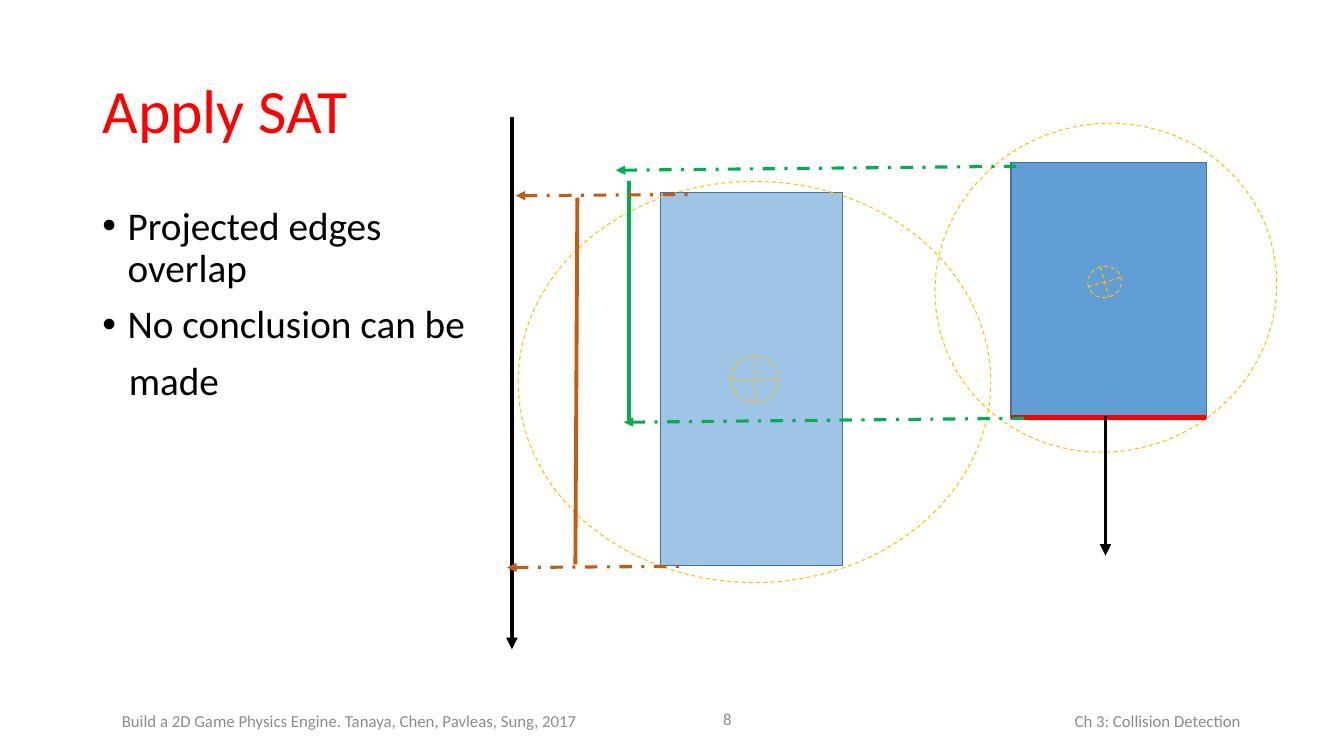
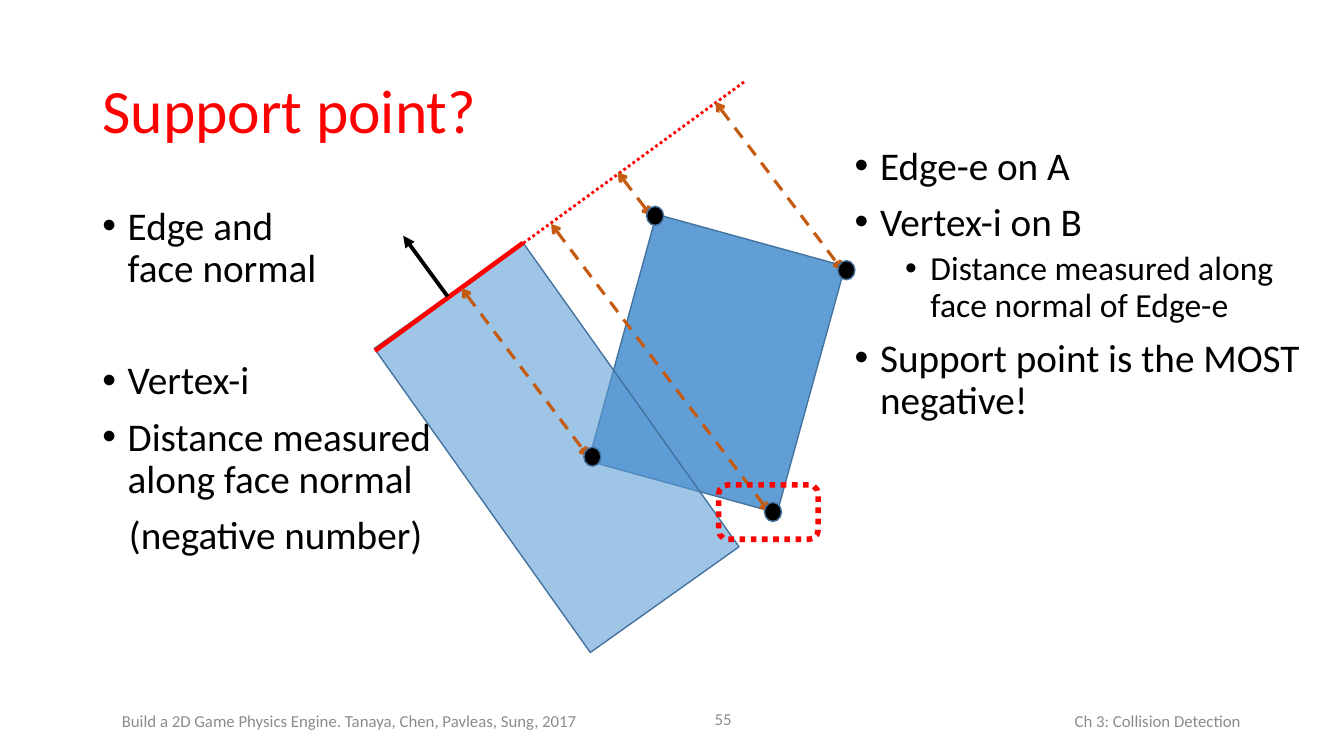
from lxml import etree
from pptx import Presentation
from pptx.dml.color import RGBColor
from pptx.enum.dml import MSO_LINE
from pptx.enum.shapes import MSO_CONNECTOR, MSO_SHAPE
from pptx.enum.text import MSO_ANCHOR, MSO_AUTO_SIZE, PP_ALIGN
from pptx.oxml.ns import qn
from pptx.util import Cm, Pt

RECT, ROUNDED = MSO_SHAPE.RECTANGLE, MSO_SHAPE.ROUNDED_RECTANGLE
OVAL, CROSSHAIR = MSO_SHAPE.OVAL, MSO_SHAPE.FLOWCHART_OR
STRAIGHT = MSO_CONNECTOR.STRAIGHT
DASH, DASH_DOT, DOTS = MSO_LINE.DASH, MSO_LINE.DASH_DOT, MSO_LINE.ROUND_DOT
LEFT, RIGHT = PP_ALIGN.LEFT, PP_ALIGN.RIGHT
MIDDLE = MSO_ANCHOR.MIDDLE
NO_FIT = MSO_AUTO_SIZE.NONE

RED = RGBColor(0xFF, 0x00, 0x00)
BLACK = RGBColor(0x00, 0x00, 0x00)
GRAY = RGBColor(0x8C, 0x8C, 0x8C)
BLUE = RGBColor(0x5B, 0x9B, 0xD5)
OUTLINE = RGBColor(0x43, 0x73, 0x9E)
GOLD = RGBColor(0xFF, 0xC0, 0x00)
ORANGE = RGBColor(0xC5, 0x5A, 0x11)
GREEN = RGBColor(0x00, 0xB0, 0x50)

FONT = "Calibri"
TITLE_BOX = (2.33, 1.01, 29.21, 3.68)
BODY_BOX = (2.33, 5.07, 29.21, 12.09)
SIDE_BOX = (21.29, 3.56, 12.57, 8.74)
CHAPTER = ("Ch 3: Collision Detection", (19.3, 17.65, 12.22, 1.02), RIGHT)
BOOK = ("Build a 2D Game Physics Engine. Tanaya, Chen, Pavleas, Sung, 2017",
        (2.82, 17.65, 12.83, 1.02), LEFT)
NUMBER_BOX = (15.67, 17.6, 3.02, 1.02)

# style: size, space before, left margin, first-line indent, bullet
STYLES = {
    "bullet": (28, 10, 0.64, -0.64, True),
    "bullet after gap": (28, 50, 0.64, -0.64, True),
    "sub": (24, 5, 1.91, -0.64, True),
    "plain": (28, 10, 0.67, 0, False),
}

SAT_TEXT = [("bullet", "Projected edges\noverlap"),
            ("bullet", "No conclusion can be"),
            ("plain", "made")]
SUPPORT_TEXT = [("bullet", "Edge and\nface normal"),
                ("bullet after gap", "Vertex-i"),
                ("bullet", "Distance measured\nalong face normal"),
                ("plain", "(negative number)")]
SIDE_TEXT = [("bullet", "Edge-e on A"),
             ("bullet", "Vertex-i on B"),
             ("sub", "Distance measured along face normal of Edge-e"),
             ("bullet", "Support point is the MOST negative!")]

DARK_SIZE, DARK_OPACITY = (4.93, 6.45), 96
LIGHT_SIZE, LIGHT_OPACITY = (4.6, 9.4), 59
BOUNDS = [
    (OVAL, (23.55, 3.12, 8.64, 8.26), 344.4),
    (CROSSHAIR, (27.41, 6.71, 0.86, 0.79), 344.4),
    (OVAL, (13.06, 4.57, 11.91, 10.11), 0),
    (CROSSHAIR, (18.42, 8.97, 1.19, 1.17), 0),
]
SAT_LINES = [
    ((30.38, 10.52), (25.48, 10.52), RED, 4, {}),
    ((27.86, 10.49), (27.86, 14), BLACK, 2.75, {"tail": "triangle"}),
    ((14.5, 14.22), (14.55, 4.98), ORANGE, 2.75, {}),
    ((15.85, 10.59), (15.85, 4.57), GREEN, 2.75, {}),
    ((12.9, 2.95), (12.9, 16.36), BLACK, 2.75, {"tail": "triangle"}),
]
PROJECTIONS = [
    ((15.52, 4.29), (25.6, 4.19), GREEN),
    ((12.78, 14.3), (17.27, 14.27), ORANGE),
    ((13, 4.93), (17.53, 4.9), ORANGE),
    ((15.72, 10.64), (25.83, 10.54), GREEN),
]
SUPPORT_LINES = [
    ((9.45, 8.84), (13.18, 6.12), RED, 3.25, {}),
    ((11.28, 7.47), (10.16, 5.94), BLACK, 2.75, {"tail": "triangle"}),
    ((9.75, 8.64), (18.8, 2.03), RED, 2, {"dash": DOTS}),
]
DISTANCES = [
    ((11.63, 7.26), (14.83, 11.51)),
    ((13.89, 5.64), (19.38, 12.9)),
    ((18.03, 2.57), (21.23, 6.81)),
    ((15.57, 4.34), (16.41, 5.44)),
]
DOT_W, DOT_H, DOT_SHIFT = 0.43, 0.48, 0.1
SUPPORT_FRAME = (18.11, 12.22, 2.51, 1.37)


def cm(values):
    return [Cm(v) for v in values]


def add_run(p, text, size, color):
    r = p.add_run()
    r.text = text
    r.font.name, r.font.size, r.font.color.rgb = FONT, Pt(size), color


def add_box(s, box):
    tf = s.shapes.add_textbox(*cm(box)).text_frame
    tf.word_wrap = True
    return tf


def add_footer(s, text, box, align):
    tf = add_box(s, box)
    tf.vertical_anchor = MIDDLE
    tf.paragraphs[0].alignment = align
    add_run(tf.paragraphs[0], text, 12, GRAY)


def add_body(s, box, items):
    tf = add_box(s, box)
    for i, (style, text) in enumerate(items):
        size, before, margin, indent, bullet = STYLES[style]
        p = tf.paragraphs[0] if i == 0 else tf.add_paragraph()
        p.line_spacing, p.space_before = 0.9, Pt(before)
        pPr = p._p.get_or_add_pPr()
        pPr.set("marL", str(Cm(margin)))
        pPr.set("indent", str(Cm(indent)))
        if bullet:
            etree.SubElement(pPr, qn("a:buFont")).set("typeface", "Arial")
            etree.SubElement(pPr, qn("a:buChar")).set("char", "•")
        for j, line in enumerate(text.split("\n")):
            if j:
                p.add_line_break()
            add_run(p, line, size, BLACK)


def add_slide(prs, title, number, items):
    s = prs.slides.add_slide(prs.slide_layouts[5])
    sp = s.shapes.title
    sp.left, sp.top, sp.width, sp.height = cm(TITLE_BOX)
    tf = sp.text_frame
    tf.auto_size, tf.vertical_anchor = NO_FIT, MIDDLE
    p = tf.paragraphs[0]
    p.alignment, p.line_spacing = LEFT, 0.9
    add_run(p, title, 44, RED)
    for footer in (CHAPTER, BOOK, (number, NUMBER_BOX, RIGHT)):
        add_footer(s, *footer)
    add_body(s, BODY_BOX, items)
    return s


def add_shape(s, kind, box, color, width, fill=None, opacity=100, dash=None, rotation=0):
    sp = s.shapes.add_shape(kind, *cm(box))
    sp.shadow.inherit = False
    sp.rotation = rotation
    sp.line.color.rgb, sp.line.width = color, Pt(width)
    if dash:
        sp.line.dash_style = dash
    if fill is None:
        sp.fill.background()
        return
    sp.fill.solid()
    sp.fill.fore_color.rgb = fill
    if opacity < 100:
        clr = sp._element.spPr.find(qn("a:solidFill"))[0]
        etree.SubElement(clr, qn("a:alpha")).set("val", str(opacity * 1000))


def add_block(s, corner, size, opacity, rotation=0):
    add_shape(s, RECT, corner + size, OUTLINE, 1, BLUE, opacity, rotation=rotation)


def add_line(s, start, end, color, width, dash=None, head=None, tail=None):
    c = s.shapes.add_connector(STRAIGHT, *cm(start + end))
    c.line.color.rgb, c.line.width = color, Pt(width)
    if dash:
        c.line.dash_style = dash
    ln = c.line._get_or_add_ln()
    for tag, arrow in (("a:headEnd", head), ("a:tailEnd", tail)):
        if arrow:
            etree.SubElement(ln, qn(tag)).set("type", arrow)
    etree.SubElement(c._element.spPr, qn("a:effectLst"))


def build_sat(prs):
    s = add_slide(prs, "Apply SAT", "8", SAT_TEXT)
    add_block(s, (25.48, 4.09), DARK_SIZE, DARK_OPACITY)
    add_block(s, (16.64, 4.85), LIGHT_SIZE, LIGHT_OPACITY)
    for kind, box, rotation in BOUNDS:
        add_shape(s, kind, box, GOLD, 0.75, dash=DASH, rotation=rotation)
    for start, end, color, width, ends in SAT_LINES:
        add_line(s, start, end, color, width, **ends)
    for start, end, color in PROJECTIONS:
        add_line(s, start, end, color, 2.25, DASH_DOT, head="triangle")


def build_support(prs):
    s = add_slide(prs, "Support point?", "55", SUPPORT_TEXT)
    add_block(s, (15.6, 5.94), DARK_SIZE, DARK_OPACITY, 15.4)
    add_block(s, (11.73, 6.58), LIGHT_SIZE, LIGHT_OPACITY, 324.6)
    add_body(s, SIDE_BOX, SIDE_TEXT)
    for start, end, color, width, ends in SUPPORT_LINES:
        add_line(s, start, end, color, width, **ends)
    for start, (x, y) in DISTANCES:
        add_line(s, start, (x, y), ORANGE, 2.25, DASH, "arrow", "arrow")
        dot = (x + DOT_SHIFT - DOT_W / 2, y - DOT_H / 2, DOT_W, DOT_H)
        add_shape(s, OVAL, dot, OUTLINE, 1, BLACK)
    add_shape(s, ROUNDED, SUPPORT_FRAME, RED, 4, dash=DOTS)


def main():
    prs = Presentation()
    prs.slide_width, prs.slide_height = Cm(33.87), Cm(19.05)
    build_sat(prs)
    build_support(prs)
    prs.save("out.pptx")


if __name__ == "__main__":
    main()
